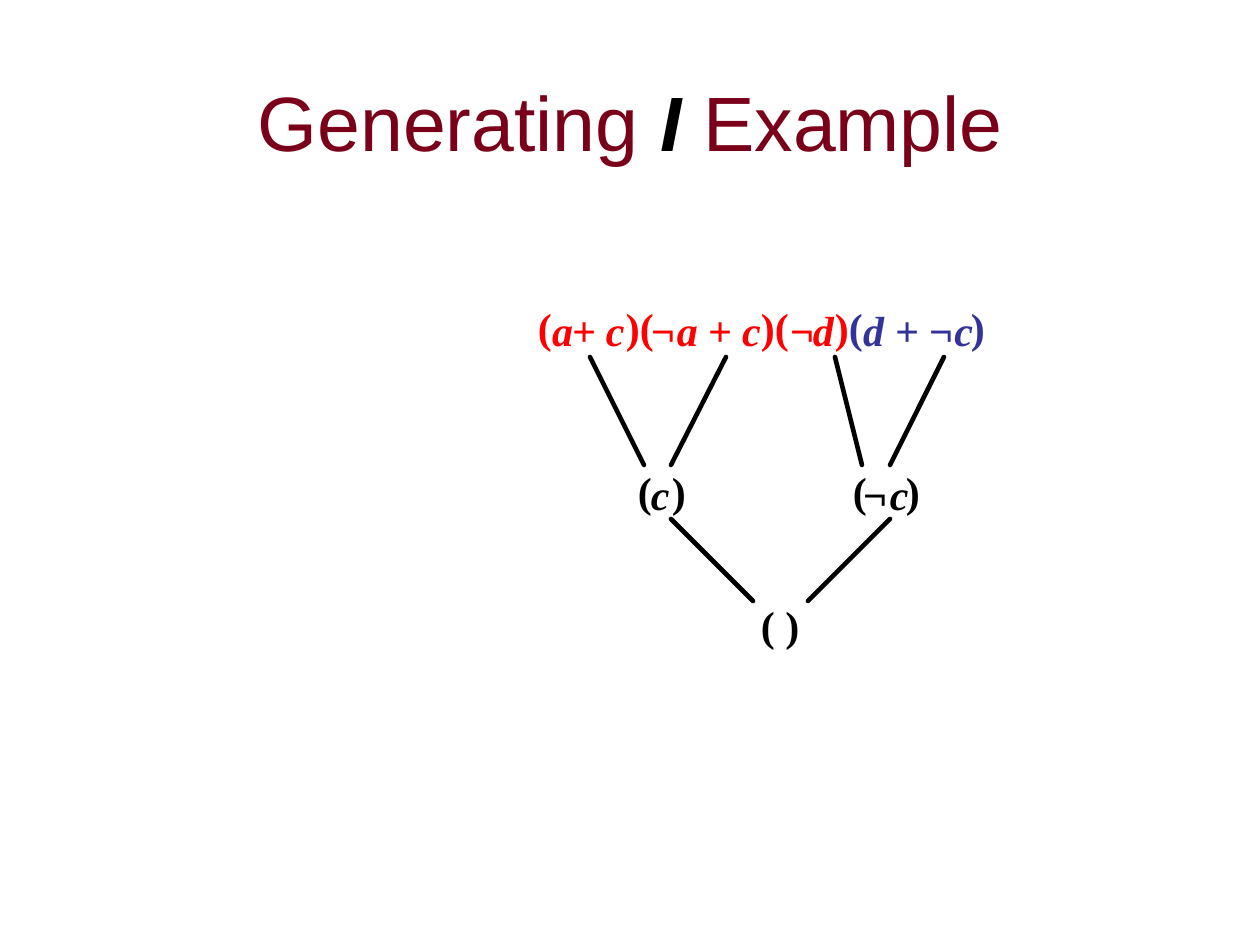
from dataclasses import dataclass

from lxml.etree import SubElement
from pptx import Presentation
from pptx.dml.color import RGBColor
from pptx.enum.shapes import MSO_CONNECTOR
from pptx.enum.text import MSO_ANCHOR, PP_ALIGN
from pptx.oxml.ns import qn
from pptx.util import Pt


@dataclass(frozen=True)
class Theme:
    maroon: str = "7A0019"
    black: str = "000000"
    red: str = "FF0000"
    blue: str = "333399"
    title_font: str = "Arial"
    formula_font: str = "Times New Roman"
    title_size: int = 44
    formula_size: int = 24
    line_width: float = 2.64


THEME = Theme()
PX_PER_INCH = 126
LETTER_DROP = 3  # letters sit slightly lower than brackets
ADVANCE = {"(": 14, ")": 14, "a": 21, "c": 19, "d": 21, "¬": 26, "+": 24, " ": 11}

# Formula rows: top, then (colour, [(text, left), ...]) groups
FORMULA_ROWS = [
    (302, [
        (THEME.red, [("(", 538), ("a", 552), ("+", 572), ("c", 606),
                     (")(", 626), ("¬", 651), ("a", 677), ("+", 708), ("c", 742),
                     (")(", 761), ("¬", 790), ("d", 813), (")", 835)]),
        (THEME.blue, [("(", 849), ("d", 863), ("+", 895), ("¬c", 929), (")", 971)]),
    ]),
    (466, [
        (THEME.black, [("(", 638), ("c", 651), (")", 672),
                       ("(", 853), ("¬", 863), ("c", 890), (")", 906)]),
    ]),
    (600, [(THEME.black, [("( )", 761)])]),
]

# Resolution steps: (top, bottom), then (upper x, lower x) of each edge
EDGE_ROWS = [
    ((357, 465), [(590, 644), (726, 671), (835, 862), (944, 890)]),
    ((519, 601), [(671, 753), (890, 808)]),
]


def px(n):
    return round(n * 914400 / PX_PER_INCH)


def add_run(p, text, font, size, color, bold=False, italic=False):
    r = p.add_run()
    r.text = text
    r.font.name, r.font.size = font, Pt(size)
    r.font.bold, r.font.italic = bold, italic
    r.font.color.rgb = RGBColor.from_string(color)


def add_title(s, x, y, w, h):
    tf = s.shapes.add_textbox(px(x), px(y), px(w), px(h)).text_frame
    tf.word_wrap = True
    tf.vertical_anchor = MSO_ANCHOR.MIDDLE
    p = tf.paragraphs[0]
    p.alignment = PP_ALIGN.CENTER
    font, size = THEME.title_font, THEME.title_size
    add_run(p, "Generating ", font, size, THEME.maroon)
    add_run(p, "I", font, size, THEME.black, bold=True, italic=True)
    add_run(p, " Example", font, size, THEME.maroon)


def add_symbol(s, text, x, top, color):
    is_letter = text[0] not in "()"
    y = top + LETTER_DROP if is_letter else top
    width = sum(ADVANCE[ch] for ch in text)
    tf = s.shapes.add_textbox(px(x), px(y), px(width), px(50)).text_frame
    tf.word_wrap = False
    tf.margin_left = tf.margin_right = tf.margin_top = tf.margin_bottom = 0
    add_run(tf.paragraphs[0], text, THEME.formula_font, THEME.formula_size,
            color, bold=True, italic=is_letter)


def add_edge(s, x1, y1, x2, y2):
    line = s.shapes.add_connector(MSO_CONNECTOR.STRAIGHT,
                                  px(x1), px(y1), px(x2), px(y2))
    line.line.width = Pt(THEME.line_width)
    line.line.color.rgb = RGBColor.from_string(THEME.black)
    sp_pr = line._element.spPr
    sp_pr.find(qn("a:ln")).set("cap", "rnd")
    SubElement(sp_pr, qn("a:effectLst"))


def main():
    prs = Presentation()
    prs.slide_width, prs.slide_height = px(1260), px(945)
    s = prs.slides.add_slide(prs.slide_layouts[6])

    add_title(s, 95, 42, 1071, 158)

    # Clauses and resolvents
    for top, groups in FORMULA_ROWS:
        for color, symbols in groups:
            for text, x in symbols:
                add_symbol(s, text, x, top, color)

    # Edges of the resolution tree
    for (top, bottom), edges in EDGE_ROWS:
        for upper, lower in edges:
            add_edge(s, upper, top, lower, bottom)

    prs.save("out.pptx")


if __name__ == "__main__":
    main()
